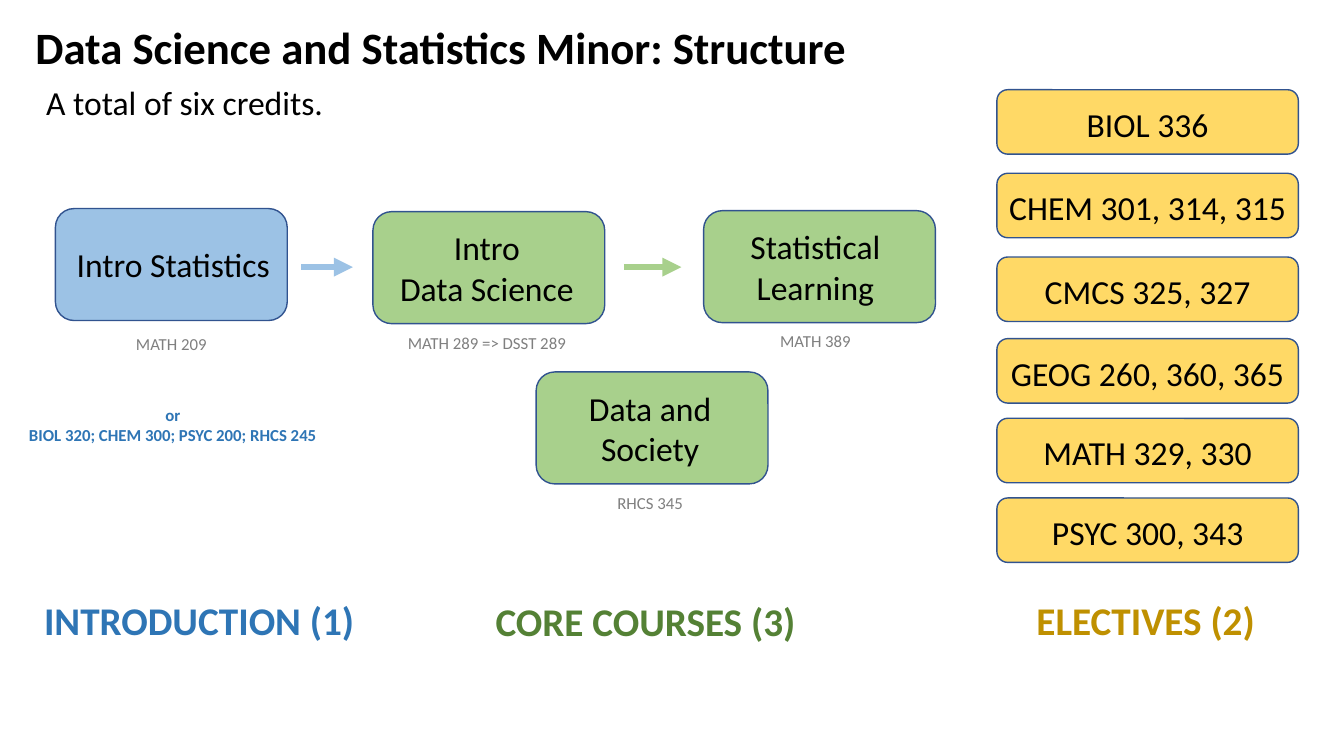
import pptx
import pptx.util
import pptx.dml.color
import pptx.enum.shapes
import pptx.enum.text
import pptx.oxml.ns
import lxml.etree

Pt = pptx.util.Pt
ALIGN = pptx.enum.text.PP_ALIGN
ANCHOR = pptx.enum.text.MSO_ANCHOR
AUTO = pptx.enum.text.MSO_AUTO_SIZE

COLORS = {
    "text": "000000",
    "code": "7F7F7F",
    "outline": "31538F",
    "intro": "9CC2E5",
    "core": "A8D08C",
    "elective": "FFD966",
    "intro_dark": "2E75B5",
    "core_dark": "548135",
    "elective_dark": "BF9000",
}

FORMATS = {
    "title": {"size": Pt(32), "bold": True},
    "body": {"size": Pt(24), "bold": False},
    "code": {"size": Pt(12), "bold": False},
    "option": {"size": Pt(12), "bold": True},
    "heading": {"size": Pt(28), "bold": True},
}

COURSES = [
    ("Intro Statistics", "intro", 39.6, 149, 1.4, "MATH 209", 39.6, 234.7),
    ("Intro\nData Science", "core", 266.4, 151.2, -1.4, "MATH 289 => DSST 289", 265, 234),
    ("Statistical Learning", "core", 502.6, 150.5, -2.9, "MATH 389", 499.7, 232.6),
    ("Data and Society", "core", 383, 265.7, -1.4, "RHCS 345", 381.6, 348.5),
]

ELECTIVES = [
    ("BIOL 336", 64.1),
    ("CHEM 301, 314, 315", 123.8),
    ("CMCS 325, 327", 183.6),
    ("GEOG 260, 360, 365", 241.9),
    ("MATH 329, 330", 298.8),
    ("PSYC 300, 343", 355.7),
]

HEADINGS = [
    ("INTRODUCTION (1)", "intro_dark", 18, 422.6, 248.4),
    ("CORE COURSES (3)", "core_dark", 318.2, 423.4, 285.8),
    ("ELECTIVES (2)", "elective_dark", 694.1, 422.6, 248.4),
]


def rgb(name):
    return pptx.dml.color.RGBColor.from_string(COLORS[name])


def write(tf, text, style, color="text", align=ALIGN.CENTER):
    tf.word_wrap = True
    for i, line in enumerate(text.split("\n")):
        p = tf.paragraphs[0] if i == 0 else tf.add_paragraph()
        p.alignment = align
        r = p.add_run()
        r.text = line
        r.font.name = "Calibri"
        r.font.color.rgb = rgb(color)
        for key, value in FORMATS[style].items():
            setattr(r.font, key, value)


def add_title(s, text):
    sp = s.shapes.title
    box = {"left": Pt(18), "top": Pt(10.8), "width": Pt(635), "height": Pt(46)}
    for key, value in box.items():
        setattr(sp, key, value)
    tf = sp.text_frame
    write(tf, text, "title", align=ALIGN.LEFT)
    tf.auto_size = AUTO.NONE
    tf.vertical_anchor = ANCHOR.TOP


def add_label(s, text, style, x, y, w, h, color="text", align=ALIGN.CENTER):
    tf = s.shapes.add_textbox(Pt(x), Pt(y), Pt(w), Pt(h)).text_frame
    write(tf, text, style, color, align)
    tf.auto_size = AUTO.SHAPE_TO_FIT_TEXT


def add_box(s, text, fill, x, y, w, h, dx=0, dy=0):
    kind = pptx.enum.shapes.MSO_SHAPE.ROUNDED_RECTANGLE
    sp = s.shapes.add_shape(kind, Pt(x), Pt(y), Pt(w), Pt(h))
    sp.shadow.inherit = False
    sp.fill.solid()
    sp.fill.fore_color.rgb = rgb(fill)
    sp.line.color.rgb = rgb("outline")
    sp.line.width = Pt(1)
    tf = sp.text_frame
    insets = {
        "margin_left": Pt(max(2 * dx, 0)),
        "margin_right": Pt(max(-2 * dx, 0)),
        "margin_top": Pt(2 * dy),
        "margin_bottom": Pt(0),
        "vertical_anchor": ANCHOR.MIDDLE,
    }
    for key, value in insets.items():
        setattr(tf, key, value)
    write(tf, text, "body")


def add_arrow(s, color, x1, x2, y):
    kind = pptx.enum.shapes.MSO_CONNECTOR.STRAIGHT
    c = s.shapes.add_connector(kind, Pt(x1), Pt(y), Pt(x2), Pt(y))
    c.line.color.rgb = rgb(color)
    c.line.width = Pt(4.5)
    qn = pptx.oxml.ns.qn
    lxml.etree.SubElement(c.line._get_or_add_ln(), qn("a:tailEnd"), type="triangle")
    lxml.etree.SubElement(c._element.spPr, qn("a:effectLst"))


def main():
    prs = pptx.Presentation()
    prs.slide_width, prs.slide_height = Pt(960), Pt(540)
    s = prs.slides.add_slide(prs.slide_layouts[5])

    add_title(s, "Data Science and Statistics Minor: Structure")
    add_label(s, "A total of six credits.", "body", 25.9, 54.7, 229.7, 36, align=ALIGN.LEFT)

    for name, fill, x, y, dx, code, code_x, code_y in COURSES:
        add_box(s, name, fill, x, y, 165.6, 80, dx)
        add_label(s, code, "code", code_x, code_y, 165.6, 21.6, "code")
    add_label(s, "or\nBIOL 320; CHEM 300; PSYC 200; RHCS 245", "option",
              8.6, 285.8, 229.7, 36, "intro_dark")

    add_arrow(s, "intro", 215.3, 252, 190.8)
    add_arrow(s, "core", 445.7, 486.7, 190.8)

    for name, y in ELECTIVES:
        add_box(s, name, "elective", 712.1, y, 215.3, 46, dy=1.4)
    for text, color, x, y, w in HEADINGS:
        add_label(s, text, "heading", x, y, w, 41, color)

    prs.save("out.pptx")


if __name__ == "__main__":
    main()
